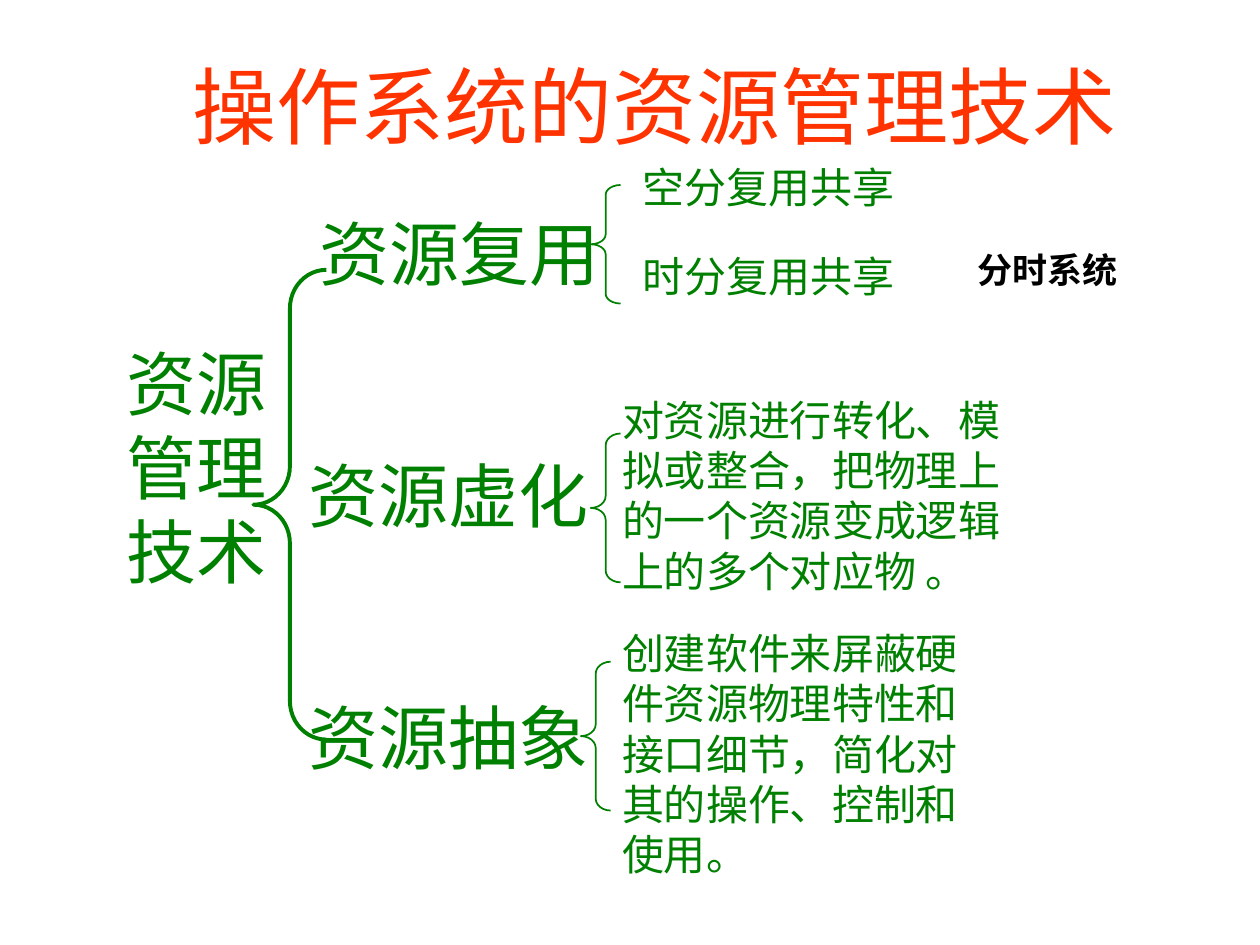
from dataclasses import dataclass

from lxml import etree
from pptx import Presentation
from pptx.dml.color import RGBColor
from pptx.enum import shapes, text
from pptx.oxml import ns
from pptx.util import Cm, Pt


@dataclass(frozen=True)
class Theme:
    red: RGBColor = RGBColor(0xFF, 0x33, 0x00)
    green: RGBColor = RGBColor(0x00, 0x80, 0x00)
    black: RGBColor = RGBColor(0x00, 0x00, 0x00)
    cjk: str = "Noto Sans CJK SC"
    latin: str = "Times New Roman"
    title: Pt = Pt(48)
    heading: Pt = Pt(40)
    body: Pt = Pt(24)
    note: Pt = Pt(20)


T = Theme()
MIDDLE = text.MSO_ANCHOR.MIDDLE
TOP = text.MSO_ANCHOR.TOP


def add_text(s, box, words, size, color=T.green, name=T.cjk, bold=False,
             anchor=MIDDLE, wrap=False, align=text.PP_ALIGN.LEFT):
    tf = s.shapes.add_textbox(*map(Cm, box)).text_frame
    frame = {"word_wrap": wrap, "vertical_anchor": anchor}
    for key, value in frame.items():
        setattr(tf, key, value)
    p = tf.paragraphs[0]
    p.alignment = align
    r = p.add_run()
    r.text = words
    font = {"size": size, "name": name, "bold": bold}
    for key, value in font.items():
        setattr(r.font, key, value)
    r.font.color.rgb = color
    ea = etree.SubElement(r.font._element, ns.qn("a:ea"))
    ea.set("typeface", T.cjk)


def add_brace(s, box, curve, weight):
    sp = s.shapes.add_shape(shapes.MSO_SHAPE.LEFT_BRACE, *map(Cm, box))
    sp.adjustments[0] = curve
    sp.shadow.inherit = False
    sp.fill.background()
    sp.line.color.rgb = T.green
    sp.line.width = Pt(weight)


def main():
    prs = Presentation()
    prs.slide_width, prs.slide_height = Cm(25.4), Cm(19.05)
    s = prs.slides.add_slide(prs.slide_layouts[6])

    add_text(s, (1.7, 0.53, 22.99, 3.18), "操作系统的资源管理技术", T.title,
             T.red, wrap=True, align=text.PP_ALIGN.CENTER)
    add_text(s, (2.31, 6.73, 3.4, 5.33), "资源管理技术", T.heading,
             anchor=TOP, wrap=True)
    add_brace(s, (5.11, 5.44, 1.47, 9.47), 0.53, 2.25)

    branches = [("资源复用", 6.2), ("资源虚化", 5.97), ("资源抽象", 5.97)]
    for i, (words, left) in enumerate(branches):
        add_text(s, (left, 4.11 + 4.88 * i, 6.86, 1.96), words, T.heading)

    for i, words in enumerate(["空分复用共享", "时分复用共享"]):
        add_text(s, (12.7, 3.12 + 1.81 * i, 5.99, 1.27), words, T.body)

    details = [
        ("对资源进行转化、模拟或整合，把物理上的一个资源变成逻辑上的多个对应物 。",
         (12.29, 7.82, 8.61, 4.32)),
        ("创建软件来屏蔽硬件资源物理特性和接口细节，简化对其的操作、控制和使用。",
         (12.29, 12.52, 7.39, 5.33)),
    ]
    for words, box in details:
        add_text(s, box, words, T.body, anchor=TOP, wrap=True)

    braces = [(11.91, 3.73, 2.39, 0.33), (11.91, 8.74, 3, 0.4),
              (11.71, 13.34, 3, 0.4)]
    for left, top, height, curve in braces:
        add_brace(s, (left, top, 0.6, height), curve, 1)

    add_text(s, (19.46, 4.88, 3.33, 1.12), "分时系统", T.note, T.black,
             T.latin, bold=True, anchor=TOP)
    prs.save("out.pptx")


if __name__ == "__main__":
    main()
